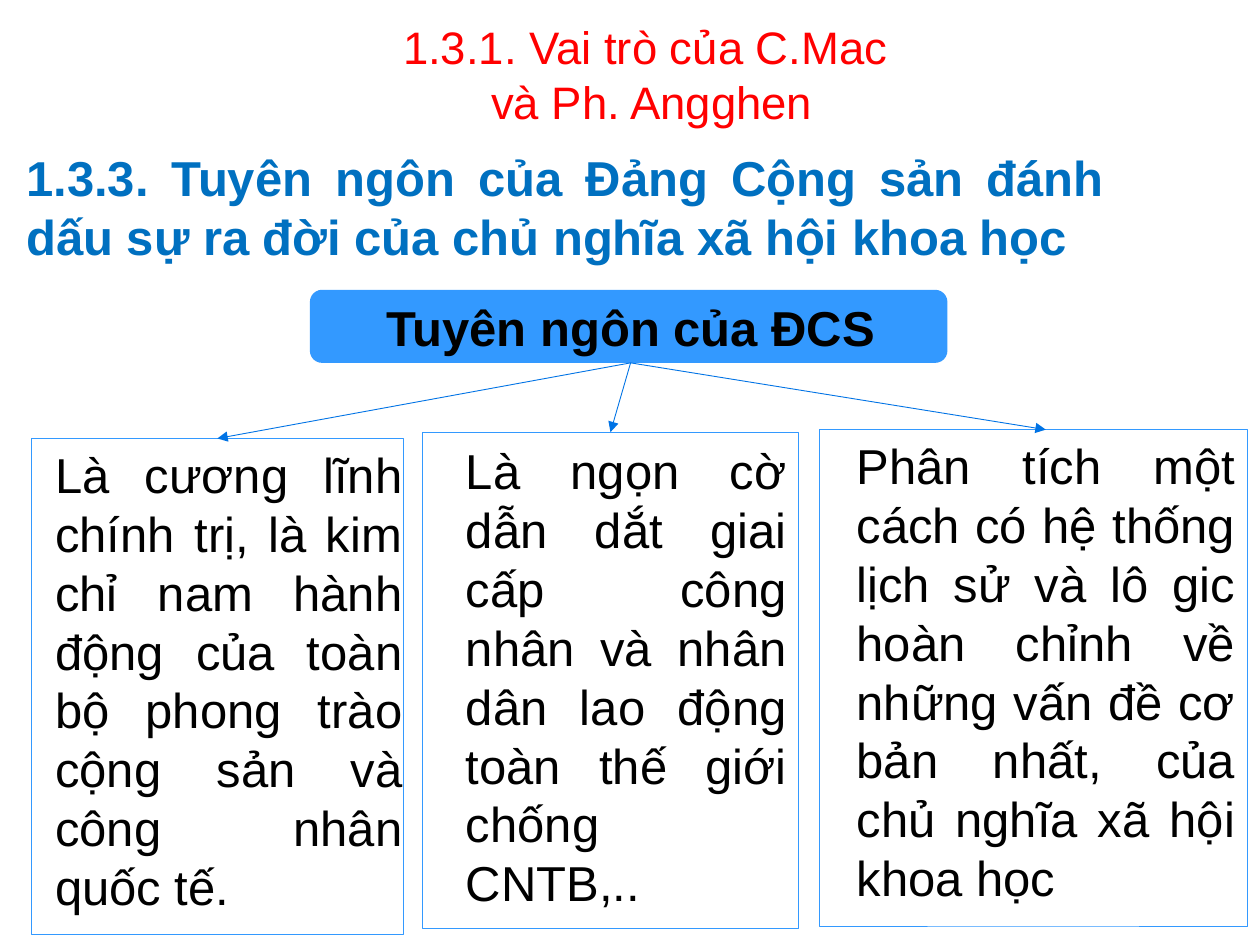
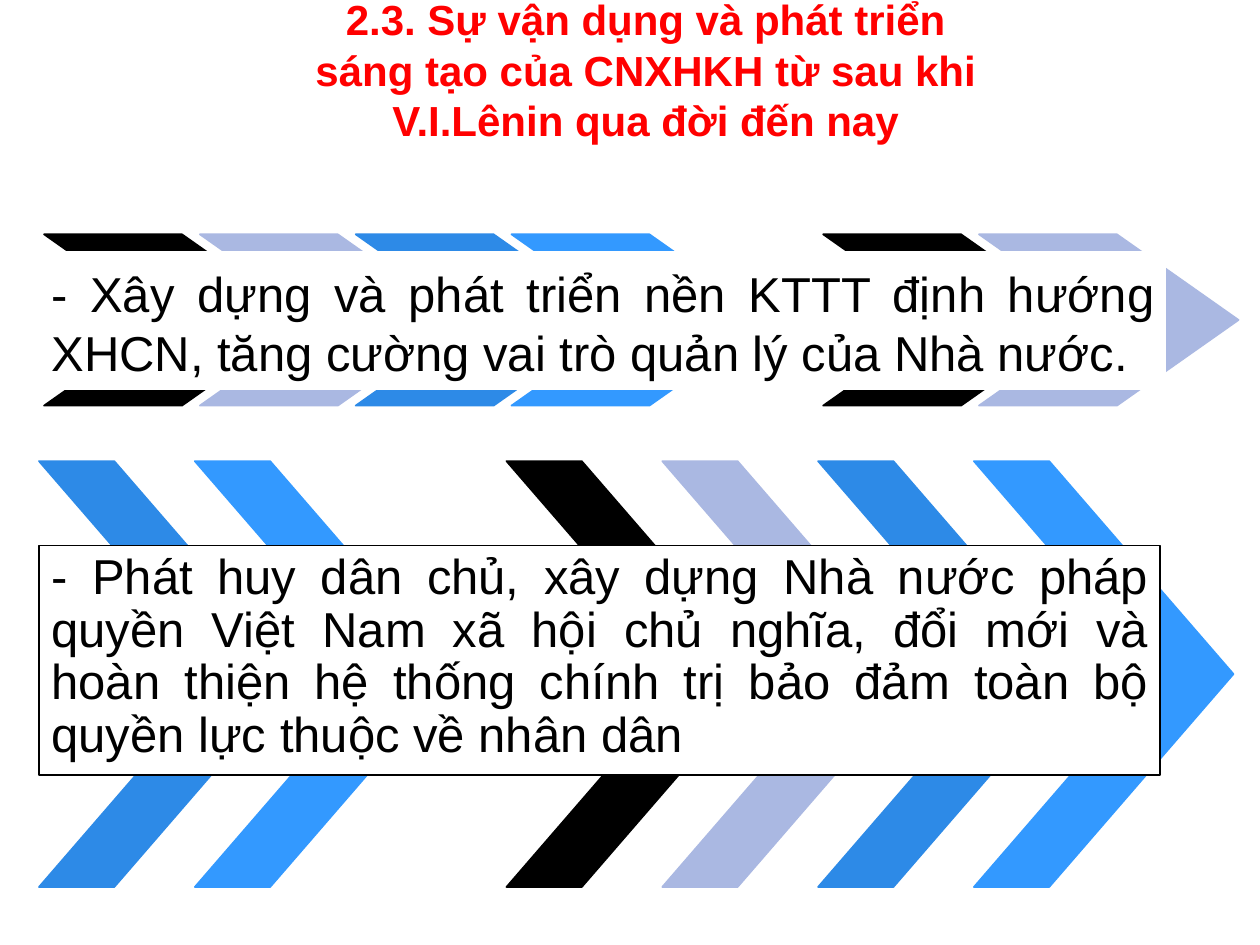
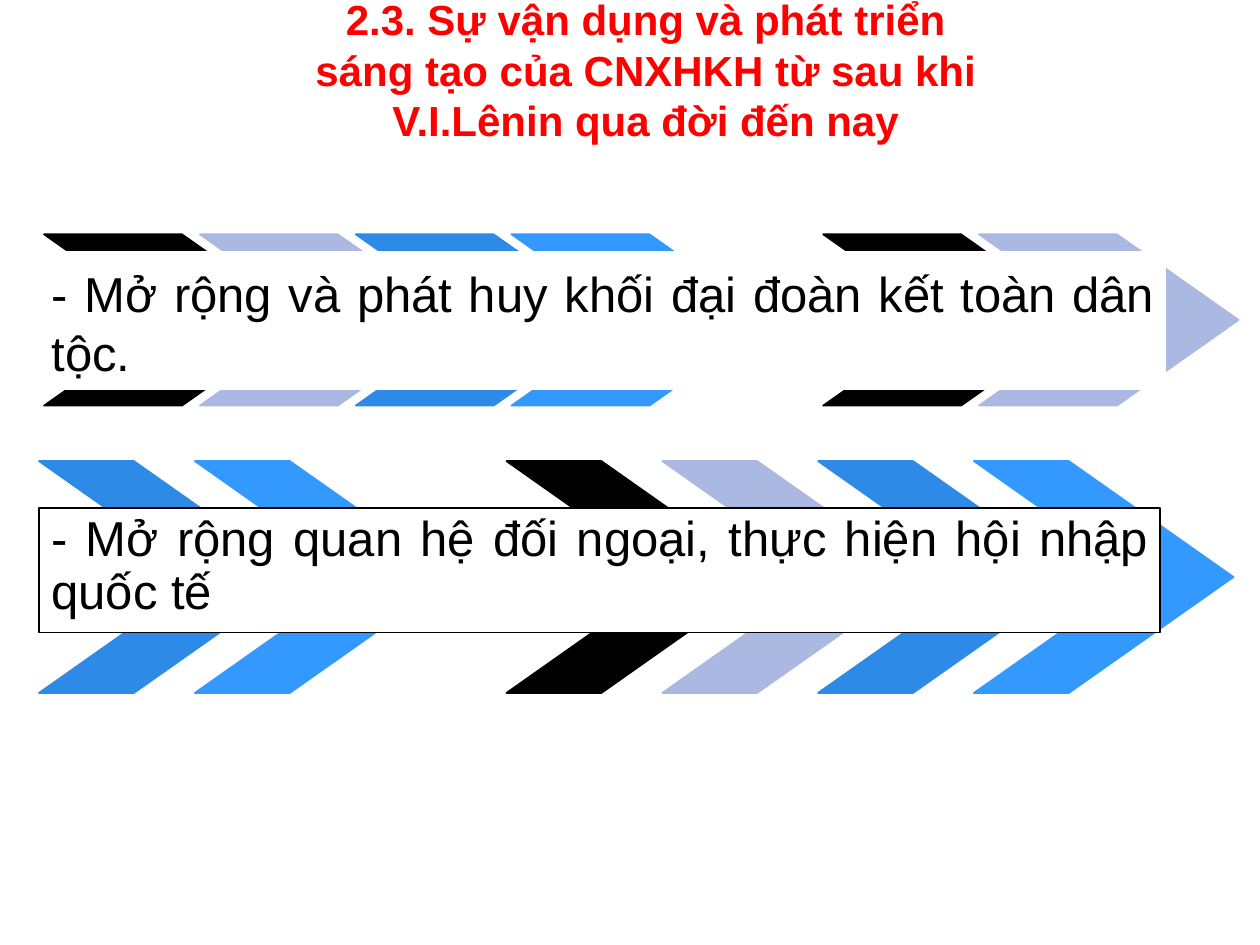
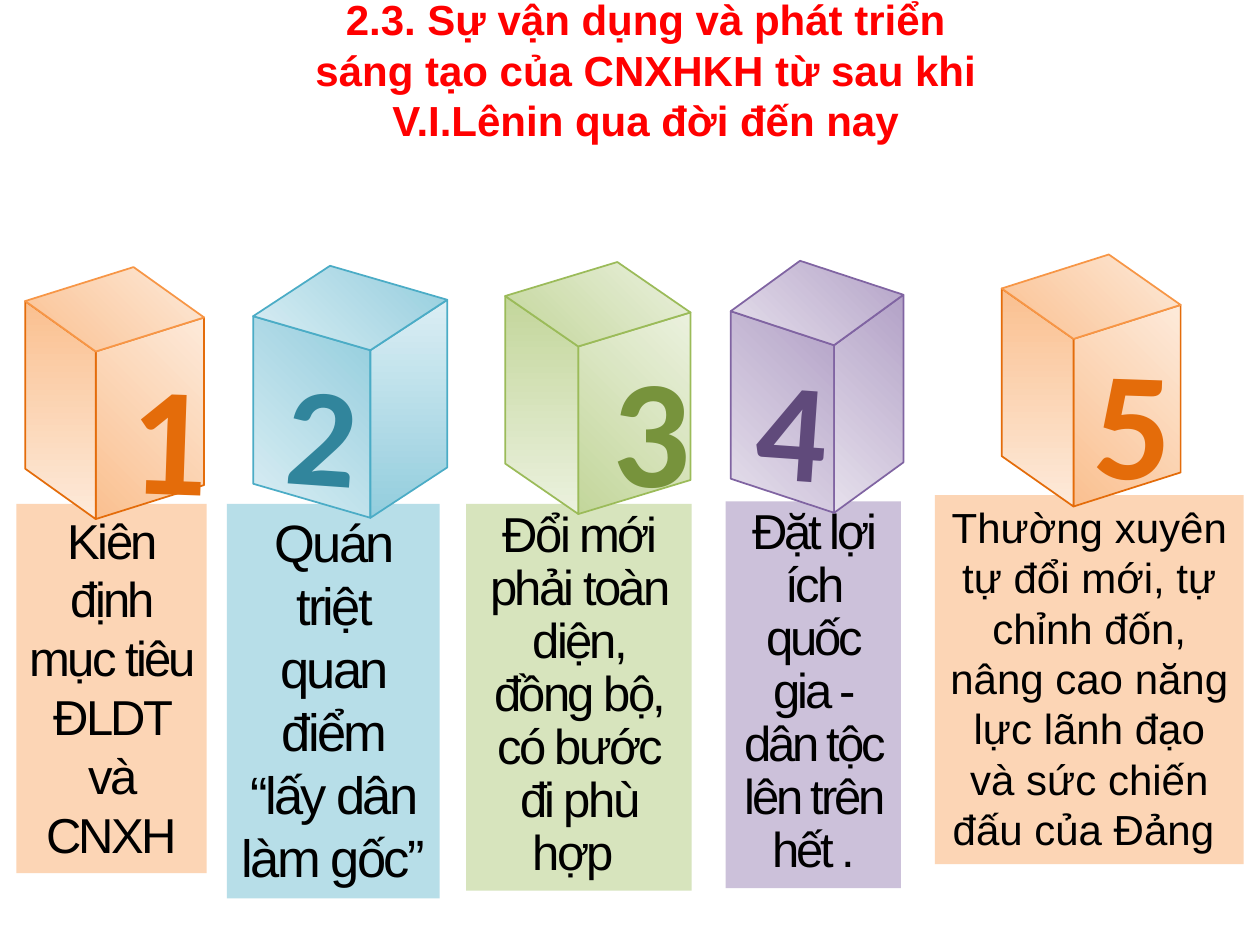
from lxml.etree import SubElement
from pptx import Presentation
from pptx.dml.color import RGBColor
from pptx.enum.shapes import MSO_CONNECTOR, MSO_SHAPE
from pptx.enum.text import MSO_ANCHOR, MSO_AUTO_SIZE, PP_ALIGN
from pptx.oxml.ns import qn
from pptx.util import Inches, Pt

BLACK, WHITE, RED = "000000", "FFFFFF", "FF0000"
SKY, BLUE, ARROW_BLUE, HEADING_BLUE = "3399FF", "2D8AE7", "0073E5", "0070C0"
CHEVRON_COLOURS = [BLACK, "AAB8E2", BLUE, SKY, WHITE]
CHEVRON_COUNT = 7
CENTER, JUSTIFY = PP_ALIGN.CENTER, PP_ALIGN.JUSTIFY
SECTION_TITLE = ("2.3. Sự vận dụng và phát triển sáng tạo của CNXHKH "
                 "từ sau khi V.I.Lênin qua đời đến nay")

ORANGE = dict(light="FDEADA", dark="FAC090", edge="E46C0A", top_edge="F79646", digit="E46C0A")
TEAL = dict(light="DBEEF4", dark="93CDDD", edge="4BACC6", top_edge="4BACC6", digit="31859C")
GREEN = dict(light="EBF1DE", dark="C3D69B", edge="9BBB59", top_edge="9BBB59", digit="77933C")
PURPLE = dict(light="E6E0EC", dark="B3A2C7", edge="8064A2", top_edge="8064A2", digit="604A7B")


def colour(value):
    """Turn a hex string into a colour."""
    return RGBColor.from_string(value)


def write(shape, text, size=28, color=BLACK, bold=False, align=JUSTIFY, font="Arial",
          spacing=None, tracking=0, anchor=MSO_ANCHOR.TOP, wrap=True):
    """Put one formatted paragraph into a shape."""
    frame = shape.text_frame
    frame.word_wrap = wrap
    frame.vertical_anchor = anchor
    if not wrap:
        frame.auto_size = MSO_AUTO_SIZE.SHAPE_TO_FIT_TEXT
    para = frame.paragraphs[0]
    para.alignment = align
    if spacing:
        para.line_spacing = spacing
    for index, line in enumerate(text.split("\n")):
        if index:
            para.add_line_break()
        span = para.add_run()
        span.text = line
        span.font.name = font
        span.font.size = Pt(size)
        span.font.bold = bold
        span.font.color.rgb = colour(color)
        if tracking:
            span._r.get_or_add_rPr().set("spc", str(round(tracking * 100)))


class SlideBuilder:
    """Holds the deck, its style and the current page."""

    def __init__(self):
        """Start an empty deck of 10 by 7.5 inches."""
        self.deck = Presentation()
        self.deck.slide_width, self.deck.slide_height = Inches(10), Inches(7.5)
        self.page = None

    def new_page(self):
        """Add a blank page and make it current."""
        self.page = self.deck.slides.add_slide(self.deck.slide_layouts[6])

    def section_title(self):
        """Write the red title shared by the section pages."""
        self.text((2.22, -0.1, 5.81, 1.22), SECTION_TITLE, size=24, color=RED,
                  bold=True, align=CENTER)

    def text(self, place, words, **style):
        """Add a text box."""
        box = self.page.shapes.add_textbox(*map(Inches, place))
        write(box, words, **style)
        return box

    def paint(self, shape, fill, line=None, width=1.0):
        """Give a shape a flat fill, an outline and no shadow."""
        shape.shadow.inherit = False
        shape.fill.solid()
        shape.fill.fore_color.rgb = colour(fill)
        self.outline(shape, line, width)

    def outline(self, shape, line, width=1.0):
        """Set or remove the outline of a shape."""
        if line:
            shape.line.color.rgb = colour(line)
            shape.line.width = Pt(width)
        else:
            shape.line.fill.background()

    def shape(self, kind, place, fill, line=None, width=1.0, alpha=None):
        """Add a preset shape."""
        shape = self.page.shapes.add_shape(kind, *map(Inches, place))
        self.paint(shape, fill, line, width)
        if alpha:
            tint = shape._element.spPr.find(qn("a:solidFill"))[0]
            SubElement(tint, qn("a:alpha")).set("val", str(alpha * 1000))
        return shape

    def arrow(self, source, target):
        """Join the bottom of one box to the top of another."""
        arrow = self.page.shapes.add_connector(MSO_CONNECTOR.STRAIGHT, 0, 0, 0, 0)
        arrow.begin_connect(source, 2)
        arrow.end_connect(target, 0)
        self.outline(arrow, ARROW_BLUE, 0.5)
        SubElement(arrow.line._get_or_add_ln(), qn("a:tailEnd")).set("type", "triangle")
        SubElement(arrow._element.spPr, qn("a:effectLst"))

    def chevrons(self, left, top, height, first):
        """Add a row of chevrons, starting at one colour of the cycle."""
        for index in range(CHEVRON_COUNT):
            fill = CHEVRON_COLOURS[(first + index) % len(CHEVRON_COLOURS)]
            place = (left + 7.42 * index / (CHEVRON_COUNT - 1), top, 2.06, height)
            chevron = self.shape(MSO_SHAPE.CHEVRON, place, fill, fill)
            chevron.adjustments[0] = 0.71

    def face(self, points, palette, edge, angle):
        """Add one gradient face of a cube."""
        (x, y), *rest = [(Inches(across), Inches(down)) for across, down in points]
        outline = self.page.shapes.build_freeform(x, y)
        outline.add_line_segments(rest, close=True)
        face = outline.convert_to_shape()
        face.shadow.inherit = False
        face.fill.gradient()
        face.fill.gradient_angle = angle
        for stop, tone in zip(face.fill.gradient_stops, ("light", "dark")):
            stop.color.rgb = colour(palette[tone])
        self.outline(face, palette[edge])

    def cube(self, left, middle, right, y, palette):
        """Add a cube whose nearest corner is at (middle, y)."""
        wide_on_right = right - middle > middle - left
        wide, narrow = (right, left) if wide_on_right else (left, right)
        slant, upright = (225, 90) if wide_on_right else (45, 270)
        depth, wide_y, narrow_y = 1.33, y - 0.27, y - 0.4
        if palette is PURPLE:
            upright = slant
        self.face([(wide, wide_y), (wide, wide_y + depth), (middle, y + depth), (middle, y)],
                  palette, "edge", slant)
        self.face([(narrow, narrow_y), (middle, y), (middle, y + depth),
                   (narrow, narrow_y + depth)], palette, "edge", upright)
        self.face([(left + right - middle, y - 0.67), (wide, wide_y), (middle, y),
                   (narrow, narrow_y)], palette, "top_edge", slant)


def manifesto_page(builder):
    """Build the page on the Manifesto and its three roles."""
    builder.new_page()
    roles = [
        ((0.25, 3.48, 2.95, 3.94), (0.34, 3.48, 2.95, 3.87),
         "Là cương lĩnh chính trị, là kim chỉ nam hành động của toàn bộ phong trào "
         "cộng sản và công nhân quốc tế."),
        ((3.35, 3.43, 2.99, 3.94), (3.6, 3.45, 2.74, 3.87),
         "Là ngọn cờ dẫn dắt giai cấp công nhân và nhân dân lao động toàn thế giới "
         "chống CNTB,.."),
        ((6.5, 3.41, 3.4, 3.94), (6.7, 3.41, 3.2, 3.87),
         "Phân tích một cách có hệ thống lịch sử và lô gic hoàn chỉnh về những vấn đề "
         "cơ bản nhất, của chủ nghĩa xã hội khoa học"),
    ]
    builder.shape(MSO_SHAPE.ROUNDED_RECTANGLE, (2.46, 2.3, 5.06, 0.58), SKY)
    manifesto = builder.text((2.49, 2.31, 5.03, 0.57), "Tuyên ngôn của ĐCS",
                             bold=True, align=CENTER)
    frames, labels = [], []
    for frame_place, label_place, words in roles:
        frames.append(builder.shape(MSO_SHAPE.RECTANGLE, frame_place, WHITE, SKY, 0.5, alpha=90))
        labels.append(builder.text(label_place, words))
    for target in (frames[0], frames[1], labels[2]):
        builder.arrow(manifesto, target)
    builder.text((2.57, 0.09, 5.21, 0.99), "1.3.1. Vai trò của C.Mac \nvà Ph. Angghen",
                 size=26, color=RED, align=CENTER, anchor=MSO_ANCHOR.MIDDLE)
    builder.text((0.11, 1.12, 8.75, 1.04),
                 "1.3.3. Tuyên ngôn của Đảng Cộng sản đánh dấu sự ra đời của "
                 "chủ nghĩa xã hội khoa học", color=HEADING_BLUE, bold=True)


def chevron_page(builder, upper, lower, row_height, panel_top, panel_height):
    """Build a page with two statements over rows of chevrons."""
    builder.new_page()
    builder.chevrons(0.35, 1.86, 1.36, first=0)
    builder.shape(MSO_SHAPE.RECTANGLE, (0.35, 2, 8.9, 1.09), WHITE, WHITE)
    builder.text((0.31, 2.04, 8.95, 1.04), upper)
    builder.chevrons(0.31, 3.66, row_height, first=2)
    panel = (0.31, panel_top, 8.9, panel_height)
    builder.shape(MSO_SHAPE.RECTANGLE, panel, WHITE, BLACK)
    builder.text(panel, lower, spacing=0.9)
    builder.section_title()


def lessons_page(builder):
    """Build the page with five numbered lessons."""
    builder.new_page()
    tight = dict(tracking=-1.5)
    lessons = [
        ((0.13, 4, 1.51, 2.93), "FCD5B5", "Kiên định mục tiêu ĐLDT và CNXH", tight),
        ((1.8, 4, 1.69, 3.13), "B7DEE8", "Quán triệt quan điểm “lấy dân làm gốc”",
         dict(tight, size=30)),
        ((3.7, 4, 1.79, 3.07), "D7E4BD", "Đổi mới phải toàn diện, đồng bộ, có bước đi phù hợp ",
         dict(tight, spacing=0.9)),
        ((5.76, 3.98, 1.39, 3.07), "CCC1DA", "Đặt lợi ích quốc gia - dân tộc lên trên hết .",
         dict(tracking=-1.8, spacing=0.9)),
        ((7.42, 3.93, 2.45, 2.93), "FCD5B5",
         "Thường xuyên tự đổi mới, tự chỉnh đốn, nâng cao năng lực lãnh đạo và "
         "sức chiến đấu của Đảng ", dict(size=24)),
    ]
    cubes = [
        ((0.2, 0.76, 1.62, 2.79), ORANGE, (0.94, 2.65, 0.59, 1.58), 88, 2),
        ((2.01, 2.94, 3.55, 2.78), TEAL, (2.18, 2.69, 0.59, 1.45), 80, 4),
        ((4.01, 4.59, 5.48, 2.75), GREEN, (4.76, 2.6, 0.61, 1.58), 88, 0),
        ((5.8, 6.62, 7.17, 2.74), PURPLE, (5.91, 2.65, 0.53, 1.45), 80, 4),
        ((7.95, 8.52, 9.37, 2.69), ORANGE, (8.58, 2.54, 0.83, 1.58), 88, 2),
    ]
    for place, fill, words, style in lessons:
        card = builder.shape(MSO_SHAPE.RECTANGLE, place, fill)
        write(card, words, align=CENTER, **style)
    for number, (corners, palette, place, size, tilt) in enumerate(cubes, start=1):
        builder.cube(*corners, palette)
        digit = builder.text(place, str(number), size=size, color=palette["digit"], bold=True,
                             align=CENTER, font="Calibri", wrap=False)
        digit.rotation = tilt
    builder.section_title()


def main():
    """Build and save the deck."""
    builder = SlideBuilder()
    manifesto_page(builder)
    chevron_page(
        builder,
        "- Xây dựng và phát triển nền KTTT định hướng XHCN, tăng cường vai trò quản lý "
        "của Nhà nước.",
        "- Phát huy dân chủ, xây dựng Nhà nước pháp quyền Việt Nam xã hội chủ nghĩa, đổi mới "
        "và hoàn thiện hệ thống chính trị bảo đảm toàn bộ quyền lực thuộc về nhân dân",
        3.38, 4.33, 1.82)
    chevron_page(
        builder,
        "- Mở rộng và phát huy khối đại đoàn kết toàn dân tộc.",
        "- Mở rộng quan hệ đối ngoại, thực hiện hội nhập quốc tế",
        1.84, 4.03, 0.99)
    lessons_page(builder)
    builder.deck.save("out.pptx")


if __name__ == "__main__":
    main()
